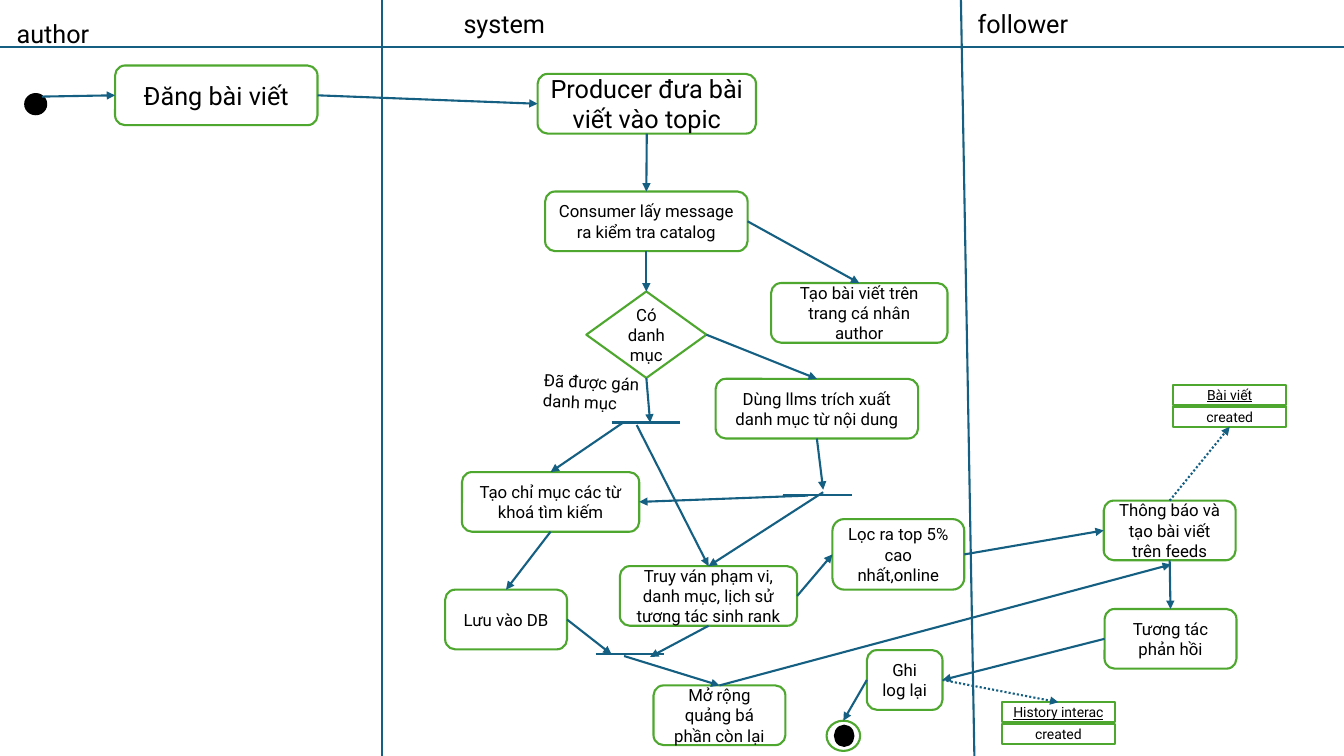
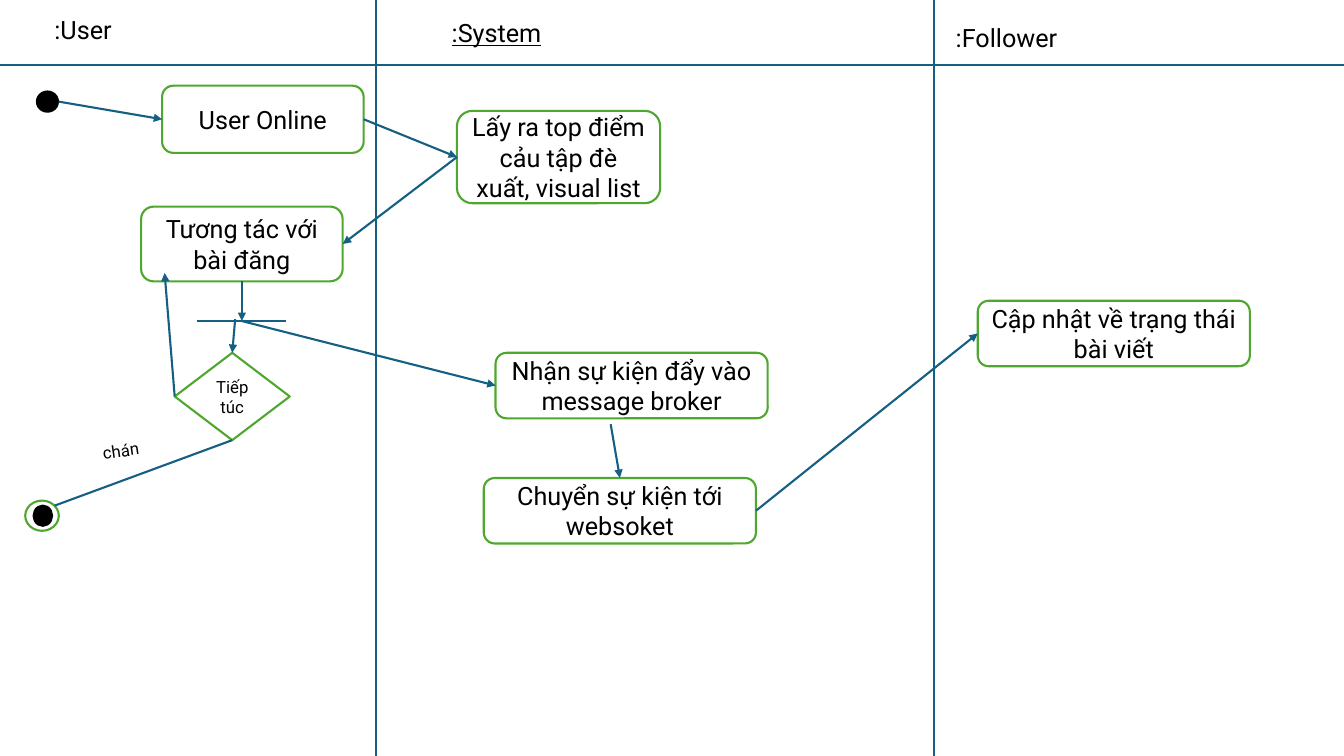
from lxml.etree import SubElement
from pptx import Presentation
from pptx.dml.color import RGBColor
from pptx.enum.dml import MSO_LINE
from pptx.enum.shapes import MSO_CONNECTOR, MSO_SHAPE
from pptx.enum.text import MSO_ANCHOR, MSO_AUTO_SIZE, PP_ALIGN
from pptx.oxml.ns import qn
from pptx.util import Inches, Pt

# Shared look: a grid of 160 columns by 90 rows, twelve cells to the inch
CELL = Inches(1) / 12
COLS, ROWS = 160, 90
FONT, BLACK, WHITE, GREEN, BLUE = "Roboto", "000000", "FFFFFF", "4EA72E", "156082"
BIG, MID, SMALL = 18, 12, 10
SITES = {"top": 0, "left": 1, "bottom": 2, "right": 3}
KINDS = {  # preset, fill, outline
    "action": (MSO_SHAPE.ROUNDED_RECTANGLE, WHITE, GREEN),
    "choice": (MSO_SHAPE.DIAMOND, WHITE, GREEN),
    "object": (MSO_SHAPE.RECTANGLE, WHITE, GREEN),
    "ring": (MSO_SHAPE.OVAL, WHITE, GREEN),
    "dot": (MSO_SHAPE.OVAL, BLACK, BLACK),
}

# Per slide: labels (x, y, w, h, text, size, underline, rotation),
# nodes (key, kind, x, y, w, h, text, size), objects (key, x, y, title),
# links (from, to, style), where an end is a point or a (node, side) pair
publish = {
    "header": 5.6,
    "lanes": [(45.5, 45.5), (114.4, 116)],
    "labels": [
        (0.8, 1.6, 44, 4.8, "author", BIG, False, 0),
        (54, 0.4, 44, 4.8, "system", BIG, False, 0),
        (115.2, 0.4, 44, 4.8, "follower", BIG, False, 0),
        (63.5, 44.4, 44, 6, "Đã được gán\ndanh mục", MID, False, 2.6),
    ],
    "start": (3, 11.2),
    "final": (98.4, 85.8),
    "nodes": [
        ("post", "action", 13.7, 7.8, 24.1, 7.1, "Đăng bài viết", BIG),
        ("producer", "action", 64, 8.8, 26, 7.1, "Producer đưa bài viết vào topic", BIG),
        ("consumer", "action", 64.9, 22.8, 24.1, 7.1,
         "Consumer lấy message ra kiểm tra catalog", MID),
        ("profile", "action", 91.8, 33.7, 21, 7.1,
         "Tạo bài viết trên trang cá nhân author", MID),
        ("tagged", "choice", 69.8, 34.7, 14.3, 10.3, "Có danh mục", MID),
        ("llm", "action", 85.2, 45.1, 24.1, 7.1,
         "Dùng llms trích xuất danh mục từ nội dung", MID),
        ("index", "action", 55, 56.2, 21.1, 7.1, "Tạo chỉ mục các từ khoá tìm kiếm", MID),
        ("query", "action", 73.8, 67.4, 21.1, 7.1,
         "Truy ván phạm vi, danh mục, lịch sử tương tác sinh rank", MID),
        ("top", "action", 99.1, 61.8, 15.7, 8.4, "Lọc ra top 5% cao nhất,online", MID),
        ("save", "action", 53, 70.2, 14.5, 7.1, "Lưu vào DB", MID),
        ("expand", "action", 77.8, 81.6, 15.7, 7.1, "Mở rộng quảng bá phần còn lại", MID),
        ("notify", "action", 131.4, 59.6, 15.7, 7.1,
         "Thông báo và tạo bài viết trên feeds", MID),
        ("react", "action", 131.5, 72.5, 15.7, 7.1, "Tương tác phản hồi", MID),
        ("log", "action", 103.2, 77.4, 9, 7.1, "Ghi log lại", MID),
    ],
    "objects": [("article", 139.7, 45.8, "Bài viết"),
                ("history", 119.3, 83.6, "History interac")],
    "links": [
        ((5, 11.5), ("post", "left"), "arrow"),
        (("post", "right"), ("producer", "left"), "arrow"),
        (("producer", "bottom"), ("consumer", "top"), "arrow"),
        (("consumer", "bottom"), ("tagged", "top"), "arrow"),
        (("consumer", "right"), ("profile", "top"), "arrow"),
        (("tagged", "right"), ("llm", "top"), "arrow"),
        (("tagged", "bottom"), (77.4, 50.3), "arrow"),
        ((72.8, 50.3), (81, 50.3), "plain"),
        ((74.2, 50.3), ("index", "top"), "arrow"),
        ((75.8, 50.6), ("query", "top"), "arrow"),
        (("llm", "bottom"), (98, 58.3), "arrow"),
        ((93.2, 58.9), (101.4, 58.9), "plain"),
        ((96.2, 59), ("index", "right"), "arrow"),
        ((98, 58.6), ("query", "top"), "arrow"),
        (("index", "bottom"), ("save", "top"), "arrow"),
        (("save", "right"), (72.8, 77.9), "arrow"),
        (("query", "bottom"), (77.4, 78.2), "arrow"),
        ((70.9, 77.9), (79.1, 77.9), "plain"),
        ((74.3, 78.1), ("expand", "top"), "arrow"),
        (("expand", "top"), (139.4, 67.2), "arrow"),
        (("query", "right"), ("top", "left"), "arrow"),
        (("top", "right"), ("notify", "left"), "arrow"),
        (("notify", "bottom"), ("react", "top"), "arrow"),
        (("react", "left"), ("log", "right"), "arrow"),
        (("log", "left"), ("final", "top"), "arrow"),
        (("log", "right"), ("history", "top"), "dotted"),
        (("notify", "top"), ("article state", "bottom"), "dotted"),
    ],
}
interact = {
    "header": 7.7,
    "lanes": [(44.8, 44.8), (111.2, 111.2)],
    "labels": [
        (5.3, 1.1, 36, 4.8, ":User", BIG, False, 0),
        (52.6, 1.5, 36, 4.8, ":System", BIG, True, 0),
        (112.6, 2.1, 36, 4.8, ":Follower", BIG, False, 0),
        (11, 51.4, 12.7, 3.6, "chán", MID, False, -8.2),
    ],
    "start": (4.4, 10.9),
    "final": (3, 59.6),
    "nodes": [
        ("online", "action", 19.3, 10.2, 24, 8, "User Online", BIG),
        ("list", "action", 54.4, 13.2, 24.2, 11,
         "Lấy ra top điểm cảu tập đè xuất, visual list", BIG),
        ("interact", "action", 16.8, 24.6, 24, 8.9, "Tương tác với bài đăng", BIG),
        ("again", "choice", 20.8, 42, 13.7, 10.4, "Tiếp túc", MID),
        ("event", "action", 59, 42, 32.4, 7.8, "Nhận sự kiện đẩy vào message broker", BIG),
        ("socket", "action", 57.6, 56.9, 32.4, 7.8, "Chuyển sự kiện tới websoket", BIG),
        ("update", "action", 116.4, 35.8, 32.4, 7.8, "Cập nhật về trạng thái bài viết", BIG),
    ],
    "objects": [],
    "links": [
        ((7, 12.1), ("online", "left"), "arrow"),
        (("online", "right"), ("list", "left"), "arrow"),
        (("list", "left"), ("interact", "right"), "arrow"),
        (("interact", "bottom"), (28.8, 38.2), "arrow"),
        ((23.4, 38.2), (34, 38.2), "plain"),
        ((28, 38), ("again", "top"), "arrow"),
        (("again", "left"), (19.6, 32.5), "arrow"),
        (("again", "bottom"), (6.5, 60.2), "plain"),
        ((28.7, 38.2), ("event", "left"), "arrow"),
        ((72.7, 50.5), ("socket", "top"), "arrow"),
        (("socket", "right"), ("update", "left"), "arrow"),
    ],
}


def write(sp, text, size, align, underline=False, **frame):
    """Fill a shape with text in the shared font."""
    tf = sp.text_frame
    tf.text = text
    for name, value in {"word_wrap": True, **frame}.items():
        setattr(tf, name, value)
    for p in tf.paragraphs:
        p.alignment = align
        for r in p.runs:
            look = {"name": FONT, "size": Pt(size), "underline": underline}
            for name, value in look.items():
                setattr(r.font, name, value)
            r.font.color.rgb = RGBColor.from_string(BLACK)


def link(s, shapes, a, b, style="plain"):
    """Draw a straight line between two points or node sides."""
    glued = [isinstance(end[0], str) for end in (a, b)]
    points = [(0, 0) if g else end for g, end in zip(glued, (a, b))]
    cx = s.shapes.add_connector(MSO_CONNECTOR.STRAIGHT,
                                *[int(v * CELL) for pt in points for v in pt])
    for on, end, connect in zip(glued, (a, b), (cx.begin_connect, cx.end_connect)):
        if on:
            connect(shapes[end[0]], SITES[end[1]])
    cx.line.color.rgb = RGBColor.from_string(BLUE)
    cx.line.width = Pt(1.5)
    if style == "dotted":
        cx.line.dash_style = MSO_LINE.ROUND_DOT
    if style != "plain":
        SubElement(cx.line._get_or_add_ln(), qn("a:tailEnd"), type="triangle")
    SubElement(cx._element.spPr, qn("a:effectLst"))


prs = Presentation()
prs.slide_width, prs.slide_height = int(COLS * CELL), int(ROWS * CELL)

for flow in (publish, interact):
    s = prs.slides.add_slide(prs.slide_layouts[6])
    shapes = {}

    # Swimlanes
    link(s, shapes, (0, flow["header"]), (COLS, flow["header"]))
    for upper, lower in flow["lanes"]:
        link(s, shapes, (upper, 0), (lower, ROWS))

    # Lane titles and branch labels
    for x, y, w, h, text, size, underline, rotation in flow["labels"]:
        sp = s.shapes.add_textbox(*[int(v * CELL) for v in (x, y, w, h)])
        sp.rotation = rotation
        write(sp, text, size, PP_ALIGN.LEFT, underline,
              auto_size=MSO_AUTO_SIZE.SHAPE_TO_FIT_TEXT)

    # Start and final markers, then two-row objects, join the list of nodes
    (sx, sy), (fx, fy) = flow["start"], flow["final"]
    nodes = flow["nodes"] + [
        ("start", "dot", sx, sy, 2.5, 2.4, "", MID),
        ("final", "ring", fx, fy, 4, 3.6, "", MID),
        ("final dot", "dot", fx + 1, fy + 0.6, 2.2, 2.4, "", MID),
    ]
    for key, x, y, title in flow["objects"]:
        nodes += [(key, "object", x, y, 13.4, 2.4, title, SMALL),
                  (key + " state", "object", x, y + 2.6, 13.4, 2.4, "created", SMALL)]

    # Nodes
    for key, kind, x, y, w, h, text, size in nodes:
        preset, fill, outline = KINDS[kind]
        sp = s.shapes.add_shape(preset, *[int(v * CELL) for v in (x, y, w, h)])
        sp.shadow.inherit = False
        sp.fill.solid()
        sp.fill.fore_color.rgb = RGBColor.from_string(fill)
        sp.line.color.rgb = RGBColor.from_string(outline)
        sp.line.width = Pt(1.5)
        if text:
            write(sp, text, size, PP_ALIGN.CENTER,
                  kind == "object" and text != "created",
                  vertical_anchor=MSO_ANCHOR.MIDDLE)
        shapes[key] = sp

    # Flows
    for a, b, style in flow["links"]:
        link(s, shapes, a, b, style)

prs.save("out.pptx")
